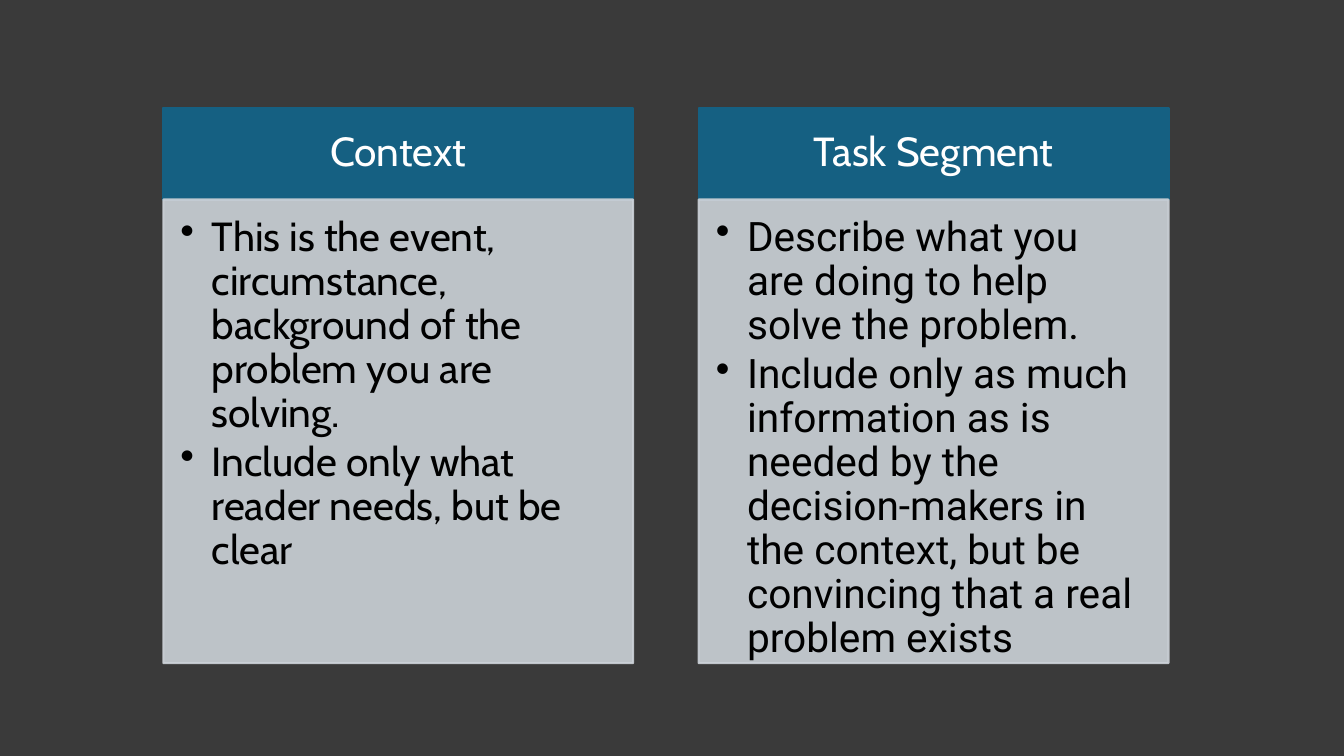
from lxml.etree import SubElement
from pptx import Presentation
from pptx.dml.color import RGBColor
from pptx.enum.shapes import MSO_SHAPE as Shape
from pptx.enum.text import MSO_ANCHOR as Anchor, PP_ALIGN as Align
from pptx.oxml.ns import qn
from pptx.util import Inches, Pt

BACKGROUND = RGBColor(0x3A, 0x3A, 0x3A)
HEADER_BLUE = RGBColor(0x15, 0x60, 0x82)
BODY_GREY = RGBColor(0xCC, 0xD2, 0xD8)
WHITE = RGBColor(0xFF, 0xFF, 0xFF)
BLACK = RGBColor(0, 0, 0)

LEFT, TOP = 1.62, 1.07
COLUMN_WIDTH, COLUMN_STEP = 4.66, 5.31
HEADER_HEIGHT, BODY_HEIGHT = 0.91, 4.6
TEXT_SIZE = 29
BULLET_INDENT = Inches(0.31)

HEADER_FRAME = {
    "word_wrap": True, "vertical_anchor": Anchor.MIDDLE,
    "margin_left": Inches(0.23), "margin_right": Inches(0.23),
    "margin_top": Inches(0.13), "margin_bottom": Inches(0.13),
}
BODY_FRAME = {
    "word_wrap": True, "vertical_anchor": Anchor.TOP,
    "margin_left": Inches(0.17), "margin_right": Inches(0.23),
    "margin_top": Inches(0.17), "margin_bottom": Inches(0.25),
}
HEADER_PARAGRAPH = {"alignment": Align.CENTER, "line_spacing": 0.9}
BODY_PARAGRAPH = {
    "alignment": Align.LEFT, "line_spacing": 0.9,
    "space_after": Pt(4), "level": 1,
}

# Heading, body font, bullet points
COLUMNS = [
    ("Context", "Cabin", [
        "This is the event, circumstance, background of the problem "
        "you are solving.",
        "Include only what reader needs, but be clear",
    ]),
    ("Task Segment", "Roboto", [
        "Describe what you are doing to help solve the problem.",
        "Include only as much information as is needed by the "
        "decision-makers in the context, but be convincing that a real "
        "problem exists",
    ]),
]


def apply_format(target, values):
    for name, value in values.items():
        setattr(target, name, value)


def add_panel(slide, left, top, height, color, frame_format):
    panel = slide.shapes.add_shape(
        Shape.RECTANGLE, Inches(left), Inches(top),
        Inches(COLUMN_WIDTH), Inches(height))
    panel.shadow.inherit = False
    panel.fill.solid()
    panel.fill.fore_color.rgb = color
    panel.line.color.rgb = color
    panel.line.width = Pt(1.5)
    apply_format(panel.text_frame, frame_format)
    return panel


def set_opacity(panel, percent):
    for color in panel._element.spPr.iter(qn("a:srgbClr")):
        SubElement(color, qn("a:alpha"), val=str(percent * 1000))


def write_line(paragraph, text, font, color, paragraph_format):
    apply_format(paragraph, paragraph_format)
    run = paragraph.add_run()
    run.text = text
    apply_format(run.font, {"name": font, "size": Pt(TEXT_SIZE)})
    run.font.color.rgb = color


def add_bullet(paragraph):
    properties = paragraph._p.get_or_add_pPr()
    properties.set("marL", str(BULLET_INDENT))
    properties.set("indent", str(-BULLET_INDENT))
    SubElement(properties, qn("a:buChar"), char="•")


def add_header(slide, left, heading):
    header = add_panel(slide, left, TOP, HEADER_HEIGHT, HEADER_BLUE,
                       HEADER_FRAME)
    write_line(header.text_frame.paragraphs[0], heading, "Cabin", WHITE,
               HEADER_PARAGRAPH)


def add_body(slide, left, font, points):
    body = add_panel(slide, left, TOP + HEADER_HEIGHT, BODY_HEIGHT,
                     BODY_GREY, BODY_FRAME)
    set_opacity(body, 90)
    frame = body.text_frame
    for index, point in enumerate(points):
        paragraph = frame.add_paragraph() if index else frame.paragraphs[0]
        write_line(paragraph, point, font, BLACK, BODY_PARAGRAPH)
        add_bullet(paragraph)


def main():
    deck = Presentation()
    deck.slide_width, deck.slide_height = Inches(13.33), Inches(7.5)
    slide = deck.slides.add_slide(deck.slide_layouts[6])
    slide.background.fill.solid()
    slide.background.fill.fore_color.rgb = BACKGROUND

    # Two columns, each a header above a bulleted body
    for index, (heading, font, points) in enumerate(COLUMNS):
        left = LEFT + index * COLUMN_STEP
        add_header(slide, left, heading)
        add_body(slide, left, font, points)

    deck.save("out.pptx")


if __name__ == "__main__":
    main()
